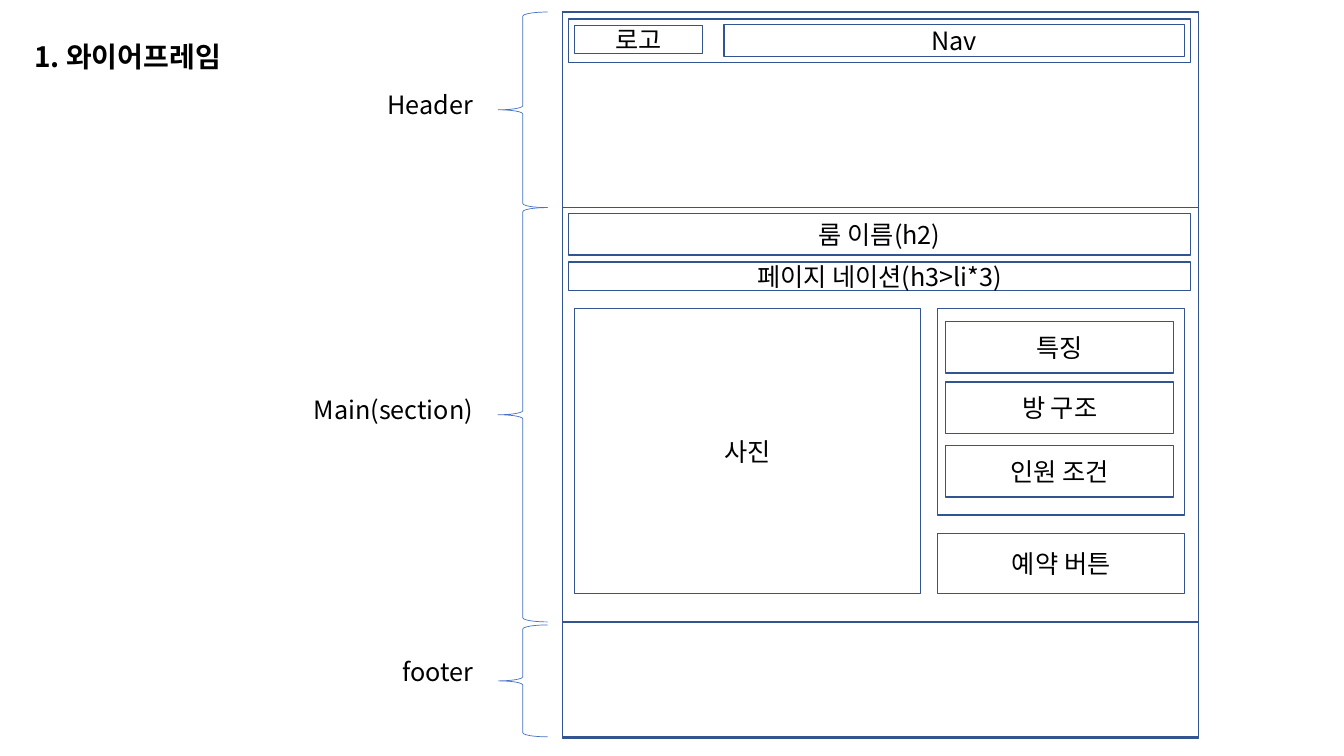
import pptx
import pptx.util
import pptx.dml.color
import pptx.enum.shapes
import pptx.enum.text
import pptx.oxml.ns
import lxml.etree
from dataclasses import dataclass

Inches = pptx.util.Inches
SHAPE = pptx.enum.shapes.MSO_SHAPE
ALIGN = pptx.enum.text.PP_ALIGN
ANCHOR = pptx.enum.text.MSO_ANCHOR


@dataclass(frozen=True)
class Theme:
    font: str = "Noto Sans CJK KR"
    ink: str = "000000"
    frame: str = "325491"
    brace: str = "4472C4"
    title_size: int = 20
    body_size: int = 18
    frame_width: float = 1
    brace_width: float = 0.5


THEME = Theme()


def rgb(code):
    return pptx.dml.color.RGBColor.from_string(code)


def write(sp, text, align, anchor, size=THEME.body_size, bold=False):
    tf = sp.text_frame
    tf.word_wrap = True
    tf.vertical_anchor = anchor
    p = tf.paragraphs[0]
    p.alignment = align
    r = p.add_run()
    r.text = text
    formats = {"name": THEME.font, "size": pptx.util.Pt(size), "bold": bold}
    for key, value in formats.items():
        setattr(r.font, key, value)
    r.font.color.rgb = rgb(THEME.ink)
    # Hangul takes the East Asian typeface
    ea = lxml.etree.SubElement(r.font._element, pptx.oxml.ns.qn("a:ea"))
    ea.set("typeface", THEME.font)
    return p


def outline(slide, kind, box, color, width):
    sp = slide.shapes.add_shape(kind, *map(Inches, box))
    sp.shadow.inherit = False
    sp.fill.background()
    sp.line.color.rgb = rgb(color)
    sp.line.width = pptx.util.Pt(width)
    return sp


def frame(slide, box, text=""):
    sp = outline(slide, SHAPE.RECTANGLE, box, THEME.frame, THEME.frame_width)
    if text:
        write(sp, text, ALIGN.CENTER, ANCHOR.MIDDLE)


def add_title(slide, box, text):
    sp = slide.shapes.add_textbox(*map(Inches, box))
    p = write(sp, text, ALIGN.LEFT, ANCHOR.MIDDLE, THEME.title_size, True)
    p.line_spacing = 0.9


def add_header(slide, box):
    x, y, w, h = box
    frame(slide, box)
    # Navigation bar
    frame(slide, (x + 0.06, y + 0.07, w - 0.14, 0.43))
    frame(slide, (x + 0.12, y + 0.13, 1.27, 0.28), "로고")
    frame(slide, (x + 1.6, y + 0.12, 4.57, 0.32), "Nav")


def add_main(slide, box):
    x, y, w, h = box
    frame(slide, box)
    # Full-width rows
    frame(slide, (x + 0.06, y + 0.06, w - 0.14, 0.41), "룸 이름(h2)")
    frame(slide, (x + 0.06, y + 0.54, w - 0.14, 0.28), "페이지 네이션(h3>li*3)")
    # Photo on the left, details and booking on the right
    frame(slide, (x + 0.12, y + 1, 3.43, 2.83), "사진")
    side, top = x + 3.72, y + 1
    frame(slide, (side, top, 2.45, 2.05))
    frame(slide, (side, top + 2.23, 2.45, 0.6), "예약 버튼")
    for dy, text in ((0.13, "특징"), (0.73, "방 구조"), (1.36, "인원 조건")):
        frame(slide, (side + 0.08, top + dy, 2.26, 0.51), text)


def add_brace(slide, box, text, label_dy):
    x, y, w, h = box
    outline(slide, SHAPE.LEFT_BRACE, box, THEME.brace, THEME.brace_width)
    label = (x - 3.04, y + label_dy, 2.89, 0.4)
    sp = slide.shapes.add_textbox(*map(Inches, label))
    write(sp, text, ALIGN.RIGHT, ANCHOR.TOP)


def main():
    prs = pptx.Presentation()
    prs.slide_width, prs.slide_height = Inches(13.33), Inches(7.5)
    slide = prs.slides.add_slide(prs.slide_layouts[6])

    add_title(slide, (0.24, 0.25, 11.5, 0.66), "1. 와이어프레임")

    # Page frame and its three sections
    x, w = 5.58, 6.31
    frame(slide, (x, 0.12, w, 7.19))
    add_header(slide, (x, 0.12, w, 1.94))
    add_main(slide, (x, 2.06, w, 4.11))
    frame(slide, (x, 6.17, w, 1.16))

    # Section labels
    sections = (("Header", 0.12, 1.94, 0.72),
                ("Main(section)", 2.06, 4.11, 1.8),
                ("footer", 6.2, 1.11, 0.26))
    for text, y, h, label_dy in sections:
        add_brace(slide, (4.94, y, 0.49, h), text, label_dy)

    prs.save("out.pptx")


if __name__ == "__main__":
    main()
